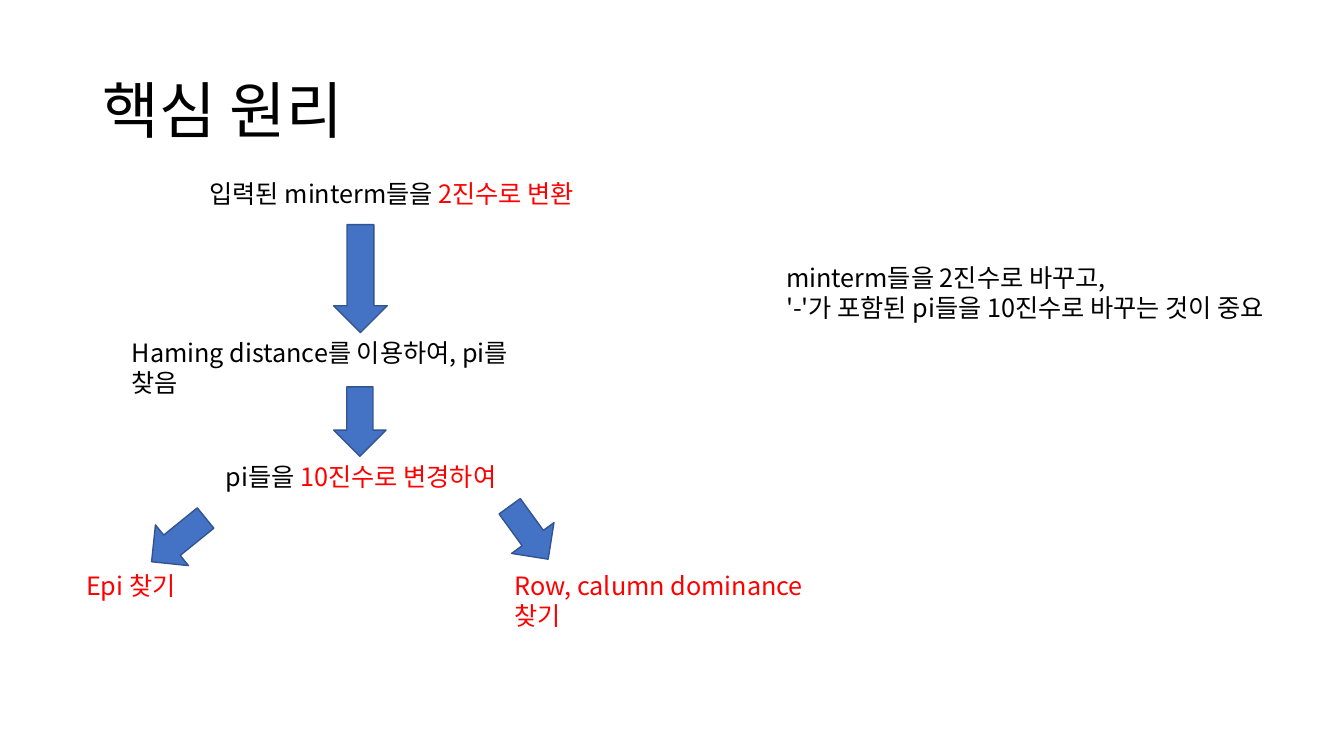
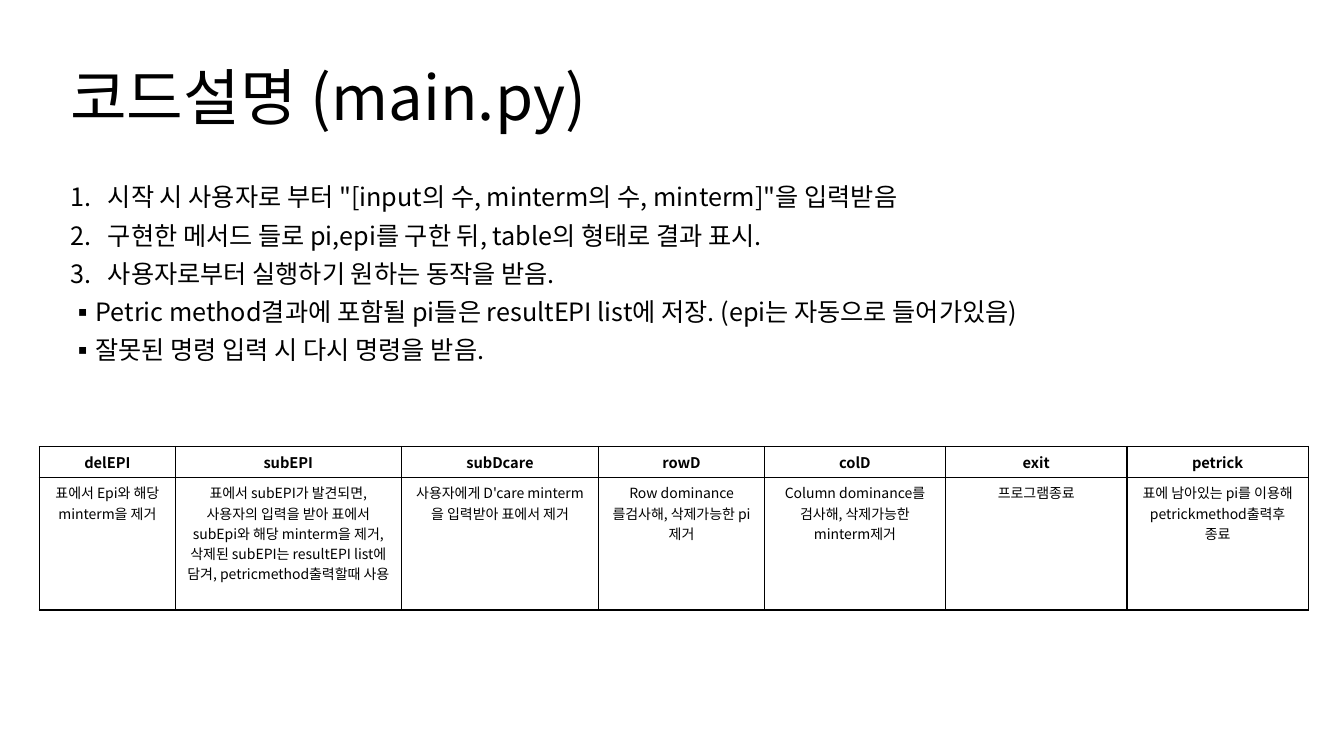
from dataclasses import dataclass

from lxml import etree
from pptx import Presentation
from pptx.dml.color import RGBColor
from pptx.enum import shapes, text
from pptx.oxml import ns
from pptx.util import Cm, Pt


@dataclass(frozen=True)
class Theme:
    font: str = "Noto Sans CJK KR"
    ink: RGBColor = RGBColor(0, 0, 0)
    accent: RGBColor = RGBColor(0xFF, 0, 0)
    paper: RGBColor = RGBColor(0xFF, 0xFF, 0xFF)
    arrow: RGBColor = RGBColor(0x44, 0x72, 0xC4)
    arrow_edge: RGBColor = RGBColor(0x32, 0x54, 0x91)
    title: Pt = Pt(44)
    body: Pt = Pt(18)
    header: Pt = Pt(10.5)
    cell: Pt = Pt(10)


theme = Theme()
TITLE = {"line_spacing": 0.9}
NOTE = {"line_spacing": 1.0}
LIST = {"line_spacing": 0.8, "space_before": Pt(10)}
CELL = {"alignment": text.PP_ALIGN.CENTER}


def write(frame, paragraphs, layout, size, bold=False):
    """Fill a text frame; each paragraph is a list of (words, colour) runs."""
    frame.word_wrap = True
    for index, runs in enumerate(paragraphs):
        paragraph = frame.add_paragraph() if index else frame.paragraphs[0]
        for name, value in layout.items():
            setattr(paragraph, name, value)
        for words, colour in runs:
            run = paragraph.add_run()
            run.text = words
            for name, value in {"name": theme.font, "size": size, "bold": bold}.items():
                setattr(run.font, name, value)
            run.font.color.rgb = colour
            east_asian = etree.SubElement(run.font._element, ns.qn("a:ea"))
            east_asian.set("typeface", theme.font)


def add_text(slide, box, paragraphs, layout=NOTE, size=theme.body):
    frame = slide.shapes.add_textbox(*map(Cm, box)).text_frame
    write(frame, paragraphs, layout, size)
    return frame


deck = Presentation()
deck.slide_width, deck.slide_height = Cm(33.87), Cm(19.05)
blank = deck.slide_layouts[6]

headings = [("핵심 원리", 2.34, 1.02), ("코드설명 (main.py)", 1.52, 0.69)]
for heading, left, top in headings:
    slide = deck.slides.add_slide(blank)
    frame = add_text(slide, (left, top, 29.21, 3.68), [[(heading, theme.ink)]],
                     TITLE, theme.title)
    frame.vertical_anchor = text.MSO_ANCHOR.MIDDLE
principle, code = deck.slides

# Slide 1: the steps of the method
steps = [
    ((5.03, 4.37, 15.34, 1.8),
     [[("입력된 minterm들을 ", theme.ink), ("2진수로 변환", theme.accent)]]),
    ((3.07, 8.38, 10.69, 1.8),
     [[("Haming distance를 이용하여, pi를 찾음", theme.ink)]]),
    ((5.44, 11.51, 9.37, 1.02),
     [[("pi들을 ", theme.ink), ("10진수로 변경하여", theme.accent)]]),
    ((1.92, 14.25, 3.38, 1.02), [[("Epi 찾기", theme.accent)]]),
    ((12.72, 14.25, 8.31, 1.8), [[("Row, calumn dominance찾기", theme.accent)]]),
    ((19.56, 6.48, 12.95, 2.57),
     [[("minterm들을 2진수로 바꾸고,", theme.ink)],
      [("'-'가 포함된 pi들을 10진수로 바꾸는 것이 중요", theme.ink)]]),
]
for box, paragraphs in steps:
    add_text(principle, box, paragraphs)

arrows = [
    ((8.41, 5.66, 1.35, 2.72), 0),
    ((8.41, 9.75, 1.32, 1.75), 0),
    ((3.84, 12.73, 1.32, 1.75), 51),
    ((12.67, 12.6, 1.32, 1.65), 324),
]
for box, angle in arrows:
    arrow = principle.shapes.add_shape(shapes.MSO_SHAPE.DOWN_ARROW, *map(Cm, box))
    arrow.rotation = angle
    arrow.shadow.inherit = False
    arrow.fill.solid()
    arrow.fill.fore_color.rgb = theme.arrow
    arrow.line.color.rgb = theme.arrow_edge
    arrow.line.width = Pt(1)

# Slide 2: what main.py does, and its commands
numbered = ("buAutoNum", {"type": "arabicPeriod"}, Cm(0.95))
square = ("buChar", {"char": "▪"}, Cm(0.64))
points = [
    (numbered, '시작 시 사용자로 부터 "[input의 수, minterm의 수, minterm]"을 입력받음'),
    (numbered, "구현한 메서드 들로 pi,epi를 구한 뒤, table의 형태로 결과 표시."),
    (numbered, "사용자로부터 실행하기 원하는 동작을 받음."),
    (square, "Petric method결과에 포함될 pi들은 resultEPI list에 저장. (epi는 자동으로 들어가있음)"),
    (square, "잘못된 명령 입력 시 다시 명령을 받음."),
]
frame = add_text(code, (1.52, 4.6, 29.21, 4.78),
                 [[(words, theme.ink)] for _, words in points], LIST)
for paragraph, ((tag, marks, indent), _) in zip(frame.paragraphs, points):
    properties = paragraph._p.get_or_add_pPr()
    properties.set("marL", str(indent))
    properties.set("indent", str(-indent))
    etree.SubElement(properties, ns.qn("a:buFont"), typeface=theme.font)
    etree.SubElement(properties, ns.qn(f"a:{tag}"), marks)

commands = [
    ("delEPI", 3.43, ["표에서 Epi와 해당 minterm을 제거"]),
    ("subEPI", 5.69, ["표에서 subEPI가 발견되면,",
                      "사용자의 입력을 받아 표에서 subEpi와 해당 minterm을 제거,",
                      "삭제된 subEPI는 resultEPI list에 담겨, petricmethod출력할때 사용"]),
    ("subDcare", 4.98, ["사용자에게 D'care minterm을 입력받아 표에서 제거"]),
    ("rowD", 4.17, ["Row dominance 를검사해, 삭제가능한 pi제거"]),
    ("colD", 4.57, ["Column dominance를 검사해, 삭제가능한 minterm제거"]),
    ("exit", 4.57, ["프로그램종료"]),
    ("petrick", 4.57, ["표에 남아있는 pi를 이용해 petrickmethod출력후 종료"]),
]
row_heights = [0.79, 3.33]
total_width = sum(width for _, width, _ in commands)
table = code.shapes.add_table(len(row_heights), len(commands), Cm(0.99), Cm(11.25),
                              Cm(total_width), Cm(sum(row_heights))).table
table.first_row = table.horz_banding = False
for table_row, height in zip(table.rows, row_heights):
    table_row.height = Cm(height)
for column, (command, width, effect) in enumerate(commands):
    table.columns[column].width = Cm(width)
    rows = [([command], theme.header, True), (effect, theme.cell, False)]
    for row, (lines, size, bold) in enumerate(rows):
        cell = table.cell(row, column)
        write(cell.text_frame, [[(line, theme.ink)] for line in lines], CELL, size, bold)
        properties = cell._tc.get_or_add_tcPr()
        for side in ("lnL", "lnR", "lnT", "lnB"):
            border = etree.SubElement(properties, ns.qn(f"a:{side}"), w=str(Pt(1)))
            paint = etree.SubElement(border, ns.qn("a:solidFill"))
            etree.SubElement(paint, ns.qn("a:srgbClr"), val=str(theme.ink))
        cell.fill.solid()
        cell.fill.fore_color.rgb = theme.paper

deck.save("out.pptx")
